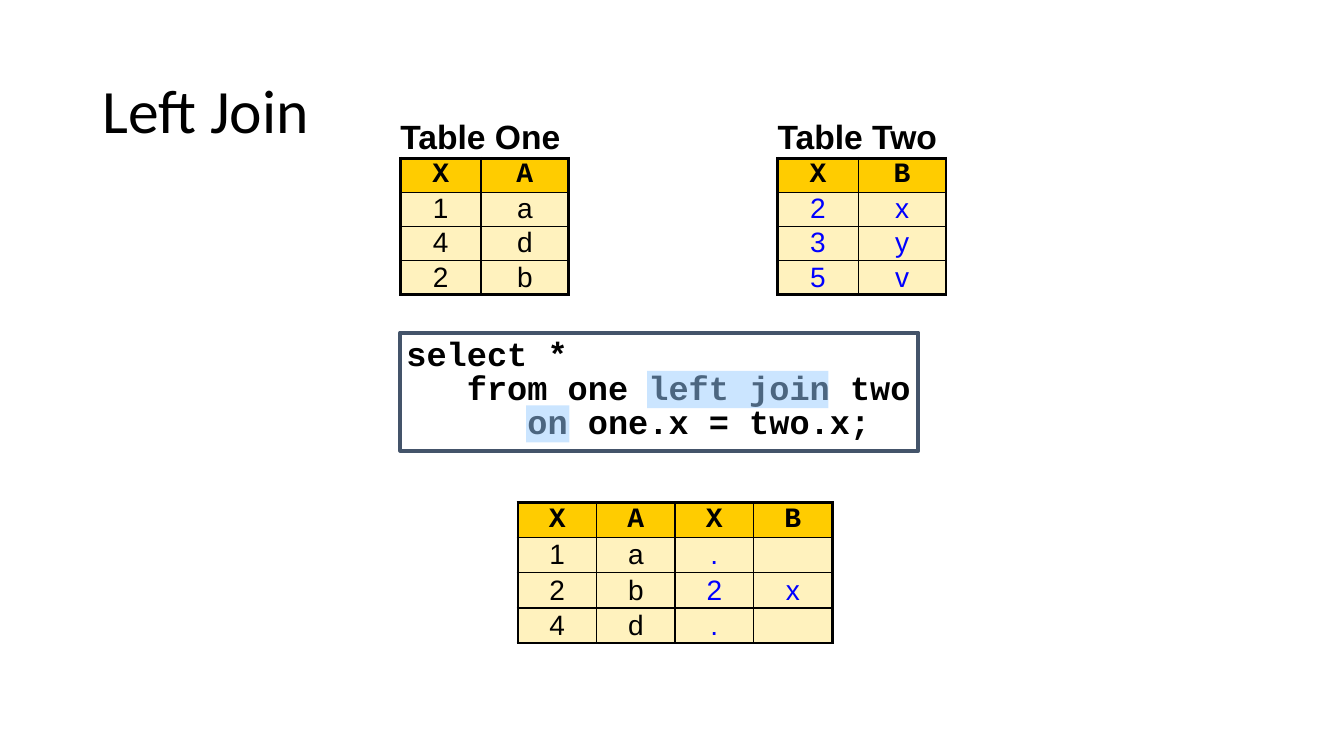
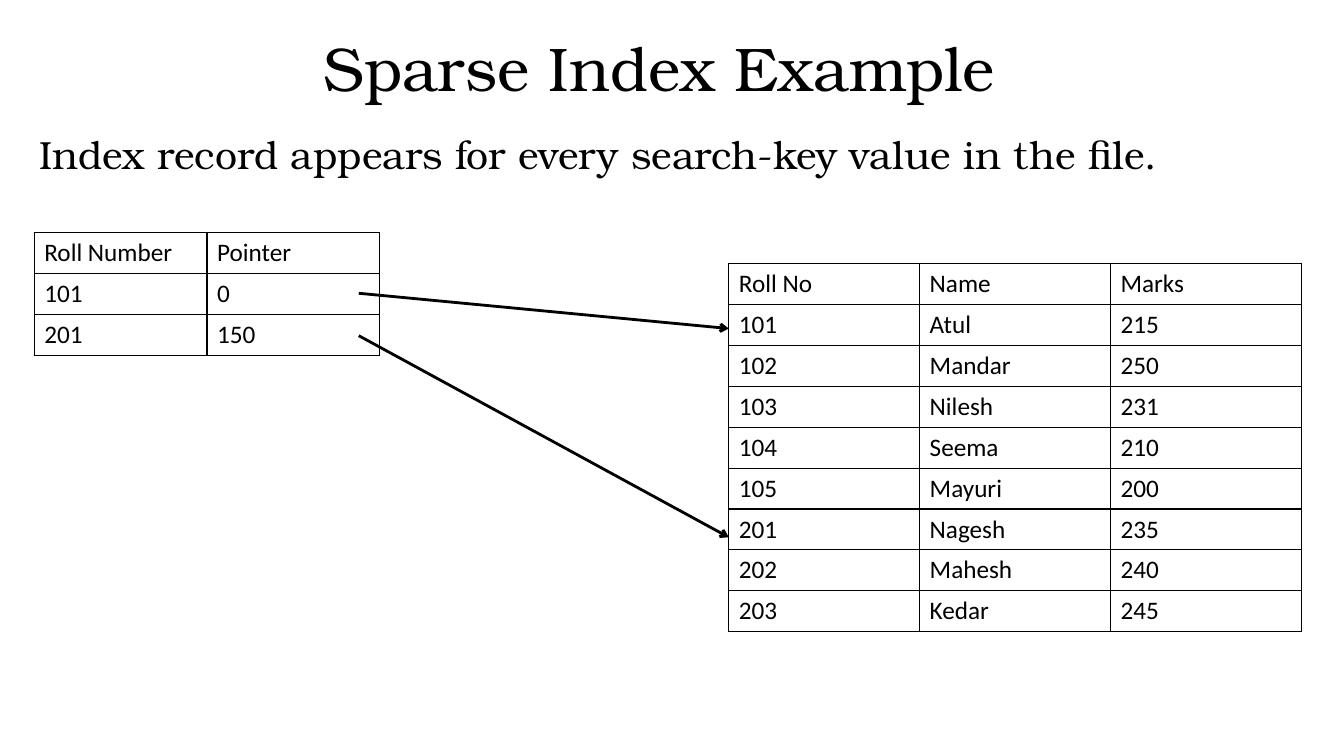
from lxml.etree import SubElement
from pptx import Presentation
from pptx.dml.color import RGBColor
from pptx.enum.shapes import MSO_CONNECTOR, MSO_SHAPE
from pptx.enum.text import MSO_ANCHOR, PP_ALIGN
from pptx.oxml import parse_xml
from pptx.oxml.ns import nsdecls, qn
from pptx.util import Pt

COLORS = {
    "black": "000000",
    "white": "FFFFFF",
    "code_frame": "44546A",
    "highlight": "99CCFF",
    "header": "FFCC00",
    "cell": "FFF2BE",
    "second_table": "0000FF",
}
RGB = {name: RGBColor.from_string(value) for name, value in COLORS.items()}
NO_TABLE_STYLE = "{2D5ABB26-0587-4C30-8999-92F81FD0307C}"
TITLE_SIZE = 44
SERIF = "TeX Gyre Bonum"


def add_span(para, text, font, size, color="black", bold=False):
    span = para.add_run()
    span.text = text
    span.font.name = font
    span.font.size = Pt(size)
    span.font.bold = bold
    span.font.color.rgb = RGB[color]


def add_grid(page, left, top, widths, heights, edge=1, caption_rows=0):
    """Add an unfilled table with 1 pt inner lines and `edge` pt outer lines.

    Caption rows stand above the outline and have no lines of their own.
    """
    table = page.shapes.add_table(
        len(heights), len(widths), Pt(left), Pt(top), Pt(sum(widths)), Pt(sum(heights))
    ).table
    table.first_row = table.horz_banding = False
    table._tbl.tblPr[0].text = NO_TABLE_STYLE
    for column, width in zip(table.columns, widths):
        column.width = Pt(width)
    for row, height in zip(table.rows, heights):
        row.height = Pt(height)
    last_row, last_column = len(heights) - 1, len(widths) - 1
    for r in range(caption_rows, len(heights)):
        for c in range(len(widths)):
            cell = table.cell(r, c)
            outer_sides = {
                "L": c == 0,
                "R": c == last_column,
                "T": r == caption_rows,
                "B": r == last_row,
            }
            for side, is_outer in outer_sides.items():
                line_width = Pt(edge if is_outer else 1)
                cell._tc.get_or_add_tcPr().append(parse_xml(
                    f'<a:ln{side} {nsdecls("a")} w="{line_width}"><a:solidFill>'
                    f'<a:srgbClr val="{COLORS["black"]}"/></a:solidFill></a:ln{side}>'
                ))
            cell.fill.background()
    return table


deck = Presentation()
deck.slide_width, deck.slide_height = Pt(960), Pt(540)
join_page, index_page = [deck.slides.add_slide(deck.slide_layouts[6]) for _ in range(2)]

# Titles and body text
MIDDLE, TOP = MSO_ANCHOR.MIDDLE, MSO_ANCHOR.TOP
texts = [
    (join_page, (66, 29, 828, 104), "Left Join",
     "Calibri", TITLE_SIZE, PP_ALIGN.LEFT, MIDDLE),
    (index_page, (63, 6, 816, 90), "Sparse Index Example",
     SERIF, TITLE_SIZE, PP_ALIGN.CENTER, MIDDLE),
    (index_page, (21, 93.6, 816, 64),
     "Index record appears for every search-key value in the file.",
     SERIF, 28, PP_ALIGN.LEFT, TOP),
]
for page, place, text, font, size, align, anchor in texts:
    box = page.shapes.add_textbox(*map(Pt, place))
    box.text_frame.word_wrap = True
    box.text_frame.vertical_anchor = anchor
    para = box.text_frame.paragraphs[0]
    para.alignment = align
    para.line_spacing = 0.9
    add_span(para, text, font, size)

# Left join: the query
query = join_page.shapes.add_shape(
    MSO_SHAPE.RECTANGLE, Pt(286), Pt(237.6), Pt(370), Pt(84.4)
)
query.shadow.inherit = False
query.fill.solid()
query.fill.fore_color.rgb = RGB["white"]
query.line.color.rgb = RGB["code_frame"]
query.line.width = Pt(3)
frame = query.text_frame
frame.word_wrap = False
frame.vertical_anchor = TOP
frame.margin_left = frame.margin_right = Pt(4.3)
frame.margin_top = frame.margin_bottom = Pt(4.3)
code_lines = ["select *", "from one left join two", "on one.x = two.x;"]
for level, code in enumerate(code_lines):
    para = frame.paragraphs[0] if level == 0 else frame.add_paragraph()
    para.alignment = PP_ALIGN.LEFT
    para.line_spacing = 0.85
    # Each level is three characters of 14.4 pt
    para._p.get_or_add_pPr().set("marL", str(Pt(level * 43.2)))
    add_span(para, code, "Courier New", 24, bold=True)

# Left join: two sources and the result
join_tables = [
    # left, top, column widths, caption height, row height, caption, blue columns, rows
    (286, 84.2, [57.6, 62.6], 28.8, 24.3, "Table One", (),
     ["XA", "1a", "4d", "2b"]),
    (555.5, 84.2, [57.6, 62.6], 28.8, 24.3, "Table Two", (0, 1),
     ["XB", "2x", "3y", "5v"]),
    (370, 329.5, [56.1] * 4, 29.5, 25.1, "", (2, 3),
     ["XAXB", "1a. ", "2b2x", "4d. "]),
]
for left, top, widths, caption_height, row_height, caption, blue, rows in join_tables:
    heights = [caption_height] + [row_height] * len(rows)
    table = add_grid(join_page, left, top, widths, heights, edge=2.25, caption_rows=1)
    title_cell = table.cell(0, 0)
    title_cell.merge(table.cell(0, len(widths) - 1))
    title_cell.margin_left = title_cell.margin_right = 0
    title_cell.margin_top = title_cell.margin_bottom = 0
    title_cell.vertical_anchor = MIDDLE
    if caption:
        add_span(title_cell.text_frame.paragraphs[0], caption, "Arial", 24, bold=True)
    for r, row in enumerate(rows):
        is_header = r == 0
        for c, value in enumerate(row):
            cell = table.cell(r + 1, c)
            cell.margin_top = cell.margin_bottom = 0
            cell.vertical_anchor = MIDDLE
            cell.fill.solid()
            cell.fill.fore_color.rgb = RGB["header" if is_header else "cell"]
            para = cell.text_frame.paragraphs[0]
            para.alignment = PP_ALIGN.CENTER
            if value == " ":
                continue
            font = "Courier New" if is_header else "Arial"
            color = "second_table" if c in blue and not is_header else "black"
            add_span(para, value, font, 20, color, bold=is_header)

# Left join: translucent marks over the keywords
for left, top, width in [(462.2, 265, 129.6), (375.8, 289.5, 31)]:
    mark = join_page.shapes.add_shape(
        MSO_SHAPE.RECTANGLE, Pt(left), Pt(top), Pt(width), Pt(26.6)
    )
    mark.shadow.inherit = False
    mark.line.fill.background()
    mark.fill.solid()
    mark.fill.fore_color.rgb = RGB["highlight"]
    color_node = mark._element.spPr.find(qn("a:solidFill"))[0]
    SubElement(color_node, qn("a:alpha")).set("val", "50000")

# Sparse index: data file and index
students = [
    ("Roll No", "Name", "Marks"),
    ("101", "Atul", "215"),
    ("102", "Mandar", "250"),
    ("103", "Nilesh", "231"),
    ("104", "Seema", "210"),
    ("105", "Mayuri", "200"),
    ("201", "Nagesh", "235"),
    ("202", "Mahesh", "240"),
    ("203", "Kedar", "245"),
]
index_entries = [("Roll Number", "Pointer"), ("101", "0"), ("201", "150")]
for left, top, column_width, rows in [
    (520.6, 188.4, 136.3, students),
    (24.5, 166.2, 123.4, index_entries),
]:
    widths = [column_width] * len(rows[0])
    table = add_grid(index_page, left, top, widths, [29.2] * len(rows))
    for r, row in enumerate(rows):
        for c, value in enumerate(row):
            add_span(table.cell(r, c).text_frame.paragraphs[0], value, "Calibri", 18)

# Sparse index: pointers into the data file
for start_y, end_y in [(209.5, 234.7), (239.8, 383.8)]:
    pointer = index_page.shapes.add_connector(
        MSO_CONNECTOR.STRAIGHT, Pt(256.3), Pt(start_y), Pt(520.6), Pt(end_y)
    )
    pointer.line.color.rgb = RGB["black"]
    pointer.line.width = Pt(2)
    SubElement(pointer.line._get_or_add_ln(), qn("a:tailEnd")).set("type", "arrow")
    SubElement(pointer._element.spPr, qn("a:effectLst"))

deck.save("out.pptx")
